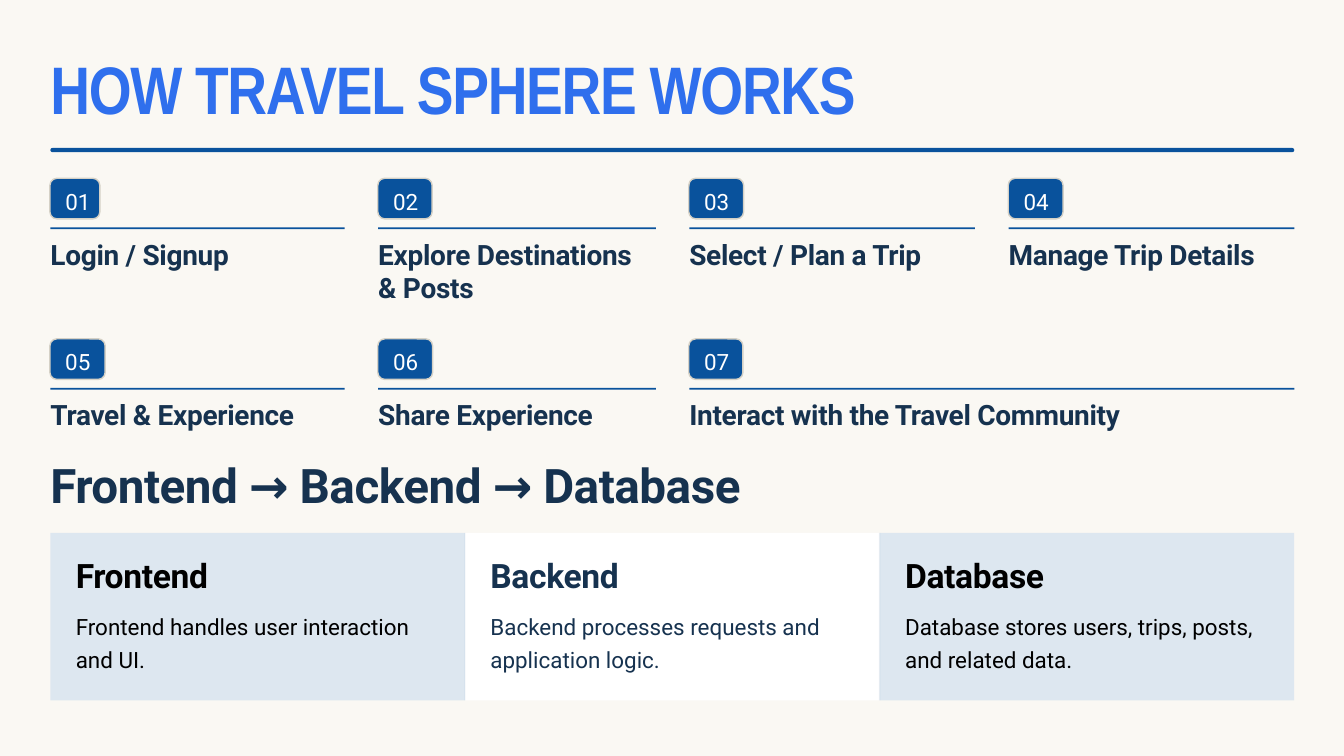
"""Build the slide explaining how Travel Sphere works."""
from dataclasses import dataclass

from lxml.etree import SubElement
from pptx import Presentation
from pptx.dml.color import RGBColor
from pptx.enum.shapes import MSO_SHAPE
from pptx.enum.text import MSO_ANCHOR, MSO_AUTO_SIZE, PP_ALIGN
from pptx.oxml.ns import qn
from pptx.util import Pt

RECT = MSO_SHAPE.RECTANGLE
ROUNDED = MSO_SHAPE.ROUNDED_RECTANGLE
TOP = MSO_ANCHOR.TOP
LEFT_ALIGN = PP_ALIGN.LEFT
FIXED = MSO_AUTO_SIZE.NONE

CREAM, BLUE, NAVY, PALE = "FAF8F3", "09529C", "16324F", "DDE7F0"
WHITE, BLACK, SAND, BRIGHT = "FFFFFF", "000000", "D5D1C6", "2F6FED"

LEFT, WIDTH = 54, 1332.75
ROW_TOPS = (191, 363)
PANEL_TOP, PANEL_HEIGHT = 571, 179.5
PANEL_WIDTH = WIDTH / 3
PANEL_PAD = 27.25


@dataclass(frozen=True)
class Style:
    size: float
    leading: float
    spacing: float = 0
    bold: bool = False
    font: str = "Roboto"


@dataclass(frozen=True)
class Step:
    row: int
    x: float
    width: float
    badge_width: float
    label: str


@dataclass(frozen=True)
class Panel:
    heading: str
    body: str
    fill: str
    color: str


TITLE = Style(72, 73.5, -1.4, True, "Arial Narrow")
NUMBER = Style(24, 23.9)
LABEL = Style(30, 36, -0.3, True)
FLOW = Style(51, 55.1, -0.5, True)
HEADING = Style(36, 43.2, -0.4, True)
BODY = Style(24, 34.9)

STEPS = (
    Step(0, 54, 315.25, 53.5, "Login / Signup"),
    Step(0, 405.25, 297.5, 58.25, "Explore Destinations & Posts"),
    Step(0, 738.5, 306, 58.75, "Select / Plan a Trip"),
    Step(0, 1080.75, 306, 58.75, "Manage Trip Details"),
    Step(1, 54, 315.25, 59.25, "Travel & Experience"),
    Step(1, 405.25, 297.5, 58.75, "Share Experience"),
    Step(1, 738.5, 648.25, 58, "Interact with the Travel Community"),
)
PANELS = (
    Panel("Frontend", "Frontend handles user interaction and UI.", PALE, BLACK),
    Panel("Backend", "Backend processes requests and application logic.", WHITE, NAVY),
    Panel("Database", "Database stores users, trips, posts, and related data.", PALE, BLACK),
)


def rgb(value: str) -> RGBColor:
    return RGBColor.from_string(value)


def place(sp, x: float, y: float, w: float, h: float) -> None:
    for name, value in dict(left=x, top=y, width=w, height=h).items():
        setattr(sp, name, Pt(value))


def write(sp, text: str, style: Style, color: str, inset: tuple = (0, 0), wrap: bool = True) -> None:
    tf = sp.text_frame
    frame = dict(margin_left=Pt(inset[0]), margin_top=Pt(inset[1]), margin_right=0, margin_bottom=0,
                 word_wrap=wrap, auto_size=FIXED, vertical_anchor=TOP)
    for name, value in frame.items():
        setattr(tf, name, value)
    p = tf.paragraphs[0]
    for name, value in dict(alignment=LEFT_ALIGN, line_spacing=Pt(style.leading), space_before=Pt(0)).items():
        setattr(p, name, value)
    r = p.add_run()
    r.text = text
    for name, value in dict(name=style.font, size=Pt(style.size), bold=style.bold).items():
        setattr(r.font, name, value)
    r.font.color.rgb = rgb(color)
    if style.spacing:
        r._r.get_or_add_rPr().set("spc", str(round(style.spacing * 100)))


def add_text(s, x: float, y: float, w: float, h: float, text: str, style: Style, color: str) -> None:
    sp = s.shapes.add_textbox(Pt(x), Pt(y), Pt(w), Pt(h))
    write(sp, text, style, color)


def add_block(s, x: float, y: float, w: float, h: float, fill: str, kind=RECT, radius: float = 0):
    sp = s.shapes.add_shape(kind, Pt(x), Pt(y), Pt(w), Pt(h))
    sp.shadow.inherit = False
    sp.fill.solid()
    sp.fill.fore_color.rgb = rgb(fill)
    sp.line.fill.background()
    if radius:
        sp.adjustments[0] = radius / min(w, h)
    return sp


def add_step(s, number: int, step: Step) -> None:
    top = ROW_TOPS[step.row]
    badge = add_block(s, step.x - 0.5, top, step.badge_width, 43.5, BLUE, ROUNDED, 7.5)
    badge.line.color.rgb = rgb(SAND)
    badge.line.width = Pt(1.5)
    write(badge, f"{number:02}", NUMBER, WHITE, (14.25, 12.75), False)
    add_block(s, step.x, top + 52.5, step.width, 2, BLUE)
    add_text(s, step.x, top + 63.25, step.width, 37.5, step.label, LABEL, NAVY)


def add_panel(s, index: int, panel: Panel) -> None:
    x = LEFT + index * PANEL_WIDTH
    add_block(s, x, PANEL_TOP, PANEL_WIDTH, PANEL_HEIGHT, panel.fill)
    inner = PANEL_WIDTH - 2 * PANEL_PAD
    add_text(s, x + PANEL_PAD, 594.75, inner, 44, panel.heading, HEADING, panel.color)
    add_text(s, x + PANEL_PAD, 651, inner, 75, panel.body, BODY, panel.color)


def add_divider(s, index: int) -> None:
    x = LEFT + index * PANEL_WIDTH
    sp = add_block(s, x - 0.75, PANEL_TOP, 1.5, PANEL_HEIGHT, BLUE)
    color = sp._element.spPr.find(f"{qn('a:solidFill')}/{qn('a:srgbClr')}")
    SubElement(color, qn("a:alpha")).set("val", "5000")


def main() -> None:
    prs = Presentation()
    prs.slide_width, prs.slide_height = Pt(1440), Pt(810)
    s = prs.slides.add_slide(prs.slide_layouts[5])
    s.background.fill.solid()
    s.background.fill.fore_color.rgb = rgb(CREAM)

    title = s.shapes.title
    place(title, LEFT, 64, WIDTH, 64)
    write(title, "HOW TRAVEL SPHERE WORKS", TITLE, BRIGHT)
    add_block(s, LEFT, 158.5, WIDTH, 4.5, BLUE, ROUNDED, 2.25)

    for number, step in enumerate(STEPS, 1):
        add_step(s, number, step)

    add_text(s, LEFT, 494.5, WIDTH, 51, "Frontend → Backend → Database", FLOW, NAVY)
    for index, panel in enumerate(PANELS):
        add_panel(s, index, panel)
    for index in range(1, len(PANELS)):
        add_divider(s, index)

    prs.save("out.pptx")


if __name__ == "__main__":
    main()
